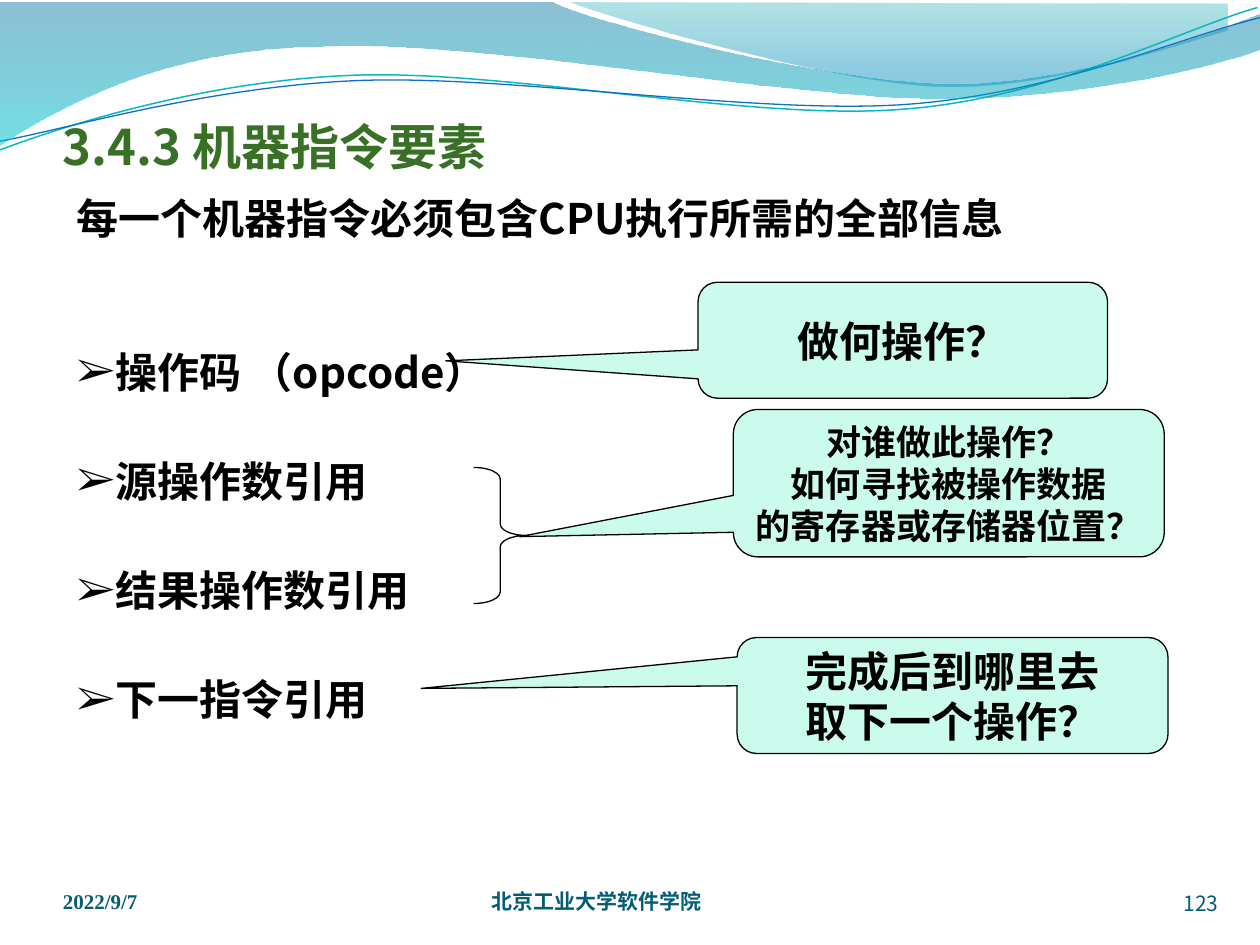
import pptx
import pptx.dml.color
import pptx.enum.shapes
import pptx.enum.text
import pptx.oxml.ns
import pptx.util
from lxml import etree
from pptx.util import Inches

color = pptx.dml.color.RGBColor.from_string
qualified = pptx.oxml.ns.qn
Align = pptx.enum.text.PP_ALIGN
Anchor = pptx.enum.text.MSO_ANCHOR
Preset = pptx.enum.shapes.MSO_SHAPE

SANS = "Noto Sans CJK SC"
SANS_JP = "Noto Sans CJK JP"

presentation = pptx.Presentation()
presentation.slide_width = Inches(10)
presentation.slide_height = Inches(7.5)
slide = presentation.slides.add_slide(presentation.slide_layouts[6])
shapes = slide.shapes


def draw_wave(start, segments, closed):
    """Draw an outline; a segment holds one line end or three Bezier points."""
    builder = shapes.build_freeform(*map(Inches, start))
    builder.add_line_segments([tuple(map(Inches, point)) for segment in segments for point in segment],
                              close=closed)
    shape = builder.convert_to_shape()
    shape.shadow.inherit = False
    # Merge each three control points into one cubic curve
    steps = iter(list(shape._element.iter(qualified("a:lnTo"))))
    for segment in segments:
        first, *others = [next(steps) for _ in segment]
        if others:
            first.tag = qualified("a:cubicBezTo")
            for other in others:
                first.append(other[0])
                other.getparent().remove(other)
    return shape


def write_text(shape, text, size=24, font=SANS, font_color="000000", bold=True,
               align=Align.LEFT, anchor=Anchor.TOP, wrap=True, insets=None,
               line_spacing=None, space_before=0, bullet=None):
    frame = shape.text_frame
    frame.word_wrap = wrap
    frame.vertical_anchor = anchor
    if insets:
        frame.margin_left, frame.margin_top, frame.margin_right, frame.margin_bottom = map(Inches, insets)
    for index, line in enumerate(text.split("\n")):
        paragraph = frame.add_paragraph() if index else frame.paragraphs[0]
        paragraph.alignment = align
        paragraph.space_before = pptx.util.Pt(space_before if index else 0)
        if line_spacing:
            paragraph.line_spacing = line_spacing
        if bullet:
            properties = paragraph._p.get_or_add_pPr()
            properties.set("marL", str(Inches(0.3)))
            properties.set("indent", str(Inches(-0.3)))
            etree.SubElement(properties, qualified("a:buFont")).set("typeface", "Times New Roman")
            etree.SubElement(properties, qualified("a:buChar")).set("char", bullet)
        run = paragraph.add_run()
        run.text = line
        run.font.size = pptx.util.Pt(size)
        run.font.bold = bold
        run.font.color.rgb = color(font_color)
        run.font.name = font
        etree.SubElement(run._r.get_or_add_rPr(), qualified("a:ea")).set("typeface", font)


# Wave header: right band, two thin lines, main band on top
waves = [
    ((4.53, 0.02), [
        [(4.83, 0.14), (6.56, 0.64), (7.42, 0.68)],
        [(8.29, 0.72), (9.35, 0.35), (9.74, 0.24)],
        [(9.74, 0.03)],
        [(4.53, 0.02)]], dict(stops=[(0, "00A1A9", 30), (0.8, "008BBF", 45)])),
    ((0, 1.19), [
        [(0.48, 1.01), (1.58, 0.65), (2.76, 0.6)],
        [(3.95, 0.54), (5.92, 0.96), (7.13, 0.87)],
        [(8.33, 0.79), (9.38, 0.23), (9.98, 0.06)]], dict(line="0AB8BF", width=0.85)),
    ((0, 1.12), [
        [(0.47, 1.04), (1.63, 0.69), (2.83, 0.64)],
        [(4.02, 0.59), (5.97, 0.91), (7.17, 0.83)],
        [(8.36, 0.75), (9.41, 0.28), (10, 0.14)]], dict(line="0F6FC6", width=0.75)),
    ((-0.01, 0.02), [
        [(4.39, 0.02)],
        [(4.75, 0.19), (6.62, 0.66), (7.57, 0.66)],
        [(8.52, 0.66), (9.57, 0.28), (9.99, 0.11)],
        [(10, 0.39)],
        [(9.82, 0.47), (8.69, 0.78), (7.45, 0.78)],
        [(6.21, 0.78), (3.81, 0.31), (2.56, 0.37)],
        [(1.28, 0.38), (0.45, 0.86), (-0.02, 1.16)],
        [(-0.01, 0.02)]], dict(stops=[(0, "0074A1", 45), (1, "00C6CF", 55)])),
]
for start, segments, style in waves:
    wave = draw_wave(start, segments, "stops" in style)
    if "line" in style:
        wave.fill.background()
        wave.line.color.rgb = color(style["line"])
        wave.line.width = pptx.util.Pt(style["width"])
        continue
    wave.line.fill.background()
    wave.fill.gradient()
    wave.fill.gradient_angle = 270
    for stop, (position, stop_color, _) in zip(wave.fill.gradient_stops, style["stops"]):
        stop.position = position
        stop.color.rgb = color(stop_color)
    stop_elements = wave._element.spPr.iter(qualified("a:srgbClr"))
    for element, (_, _, opacity) in zip(stop_elements, style["stops"]):
        etree.SubElement(element, qualified("a:alpha")).set("val", str(opacity * 1000))

# Footer, title and bullet list
footer = dict(size=12, font_color="045D75", anchor=Anchor.BOTTOM, insets=(0, 0, 0, 0))
texts = [
    ((0.5, 6.88, 2.33, 0.37), "2022/9/7", dict(footer, font="Times New Roman")),
    ((3.9, 6.88, 3.67, 0.37), "北京工业大学软件学院", footer),
    ((8.84, 6.9, 0.83, 0.37), "123", dict(footer, bold=False, align=Align.RIGHT)),
    ((0.5, 0.77, 9, 0.62), "3.4.3 机器指令要素",
     dict(size=28, font=SANS_JP, font_color="387026", anchor=Anchor.BOTTOM, insets=(0, 0.05, 0, 0))),
    ((0.51, 2.3, 4.92, 4.95), "操作码 （opcode）\n源操作数引用\n结果操作数引用\n下一指令引用",
     dict(line_spacing=2.0, space_before=4.8, bullet="➢")),
]
for place, text, text_format in texts:
    write_text(shapes.add_textbox(*map(Inches, place)), text, **text_format)

# Brace and callouts
outlined = [
    (Preset.ROUNDED_RECTANGULAR_CALLOUT, (5.54, 2.24, 3.25, 0.92), (-1.116, 0.178, 0.167),
     "做何操作？", 24),
    (Preset.RIGHT_BRACE, (3.76, 3.71, 0.42, 1.08), (0.217, 0.5), None, None),
    (Preset.ROUNDED_RECTANGULAR_CALLOUT, (5.82, 3.25, 3.42, 1.17), (-0.996, 0.363, 0.167),
     "对谁做此操作？\n如何寻找被操作数据\n的寄存器或存储器位置？", 20),
    (Preset.ROUNDED_RECTANGULAR_CALLOUT, (5.85, 5.06, 3.42, 0.92), (-1.233, -0.061, 0.167),
     "完成后到哪里去\n取下一个操作？", 24),
]
for preset, place, adjustments, text, size in outlined:
    shape = shapes.add_shape(preset, *map(Inches, place))
    shape.shadow.inherit = False
    for index, value in enumerate(adjustments):
        shape.adjustments[index] = value
    shape.line.color.rgb = color("000000")
    shape.line.width = pptx.util.Pt(0.75)
    if text is None:
        shape.fill.background()
        continue
    shape.fill.solid()
    shape.fill.fore_color.rgb = color("CAFBED")
    write_text(shape, text, size=size, font=SANS_JP, align=Align.CENTER,
               anchor=Anchor.MIDDLE, wrap=False)

statement = shapes.add_textbox(Inches(0.51), Inches(1.48), Inches(9), Inches(0.82))
write_text(statement, "每一个机器指令必须包含CPU执行所需的全部信息")

presentation.save("out.pptx")
